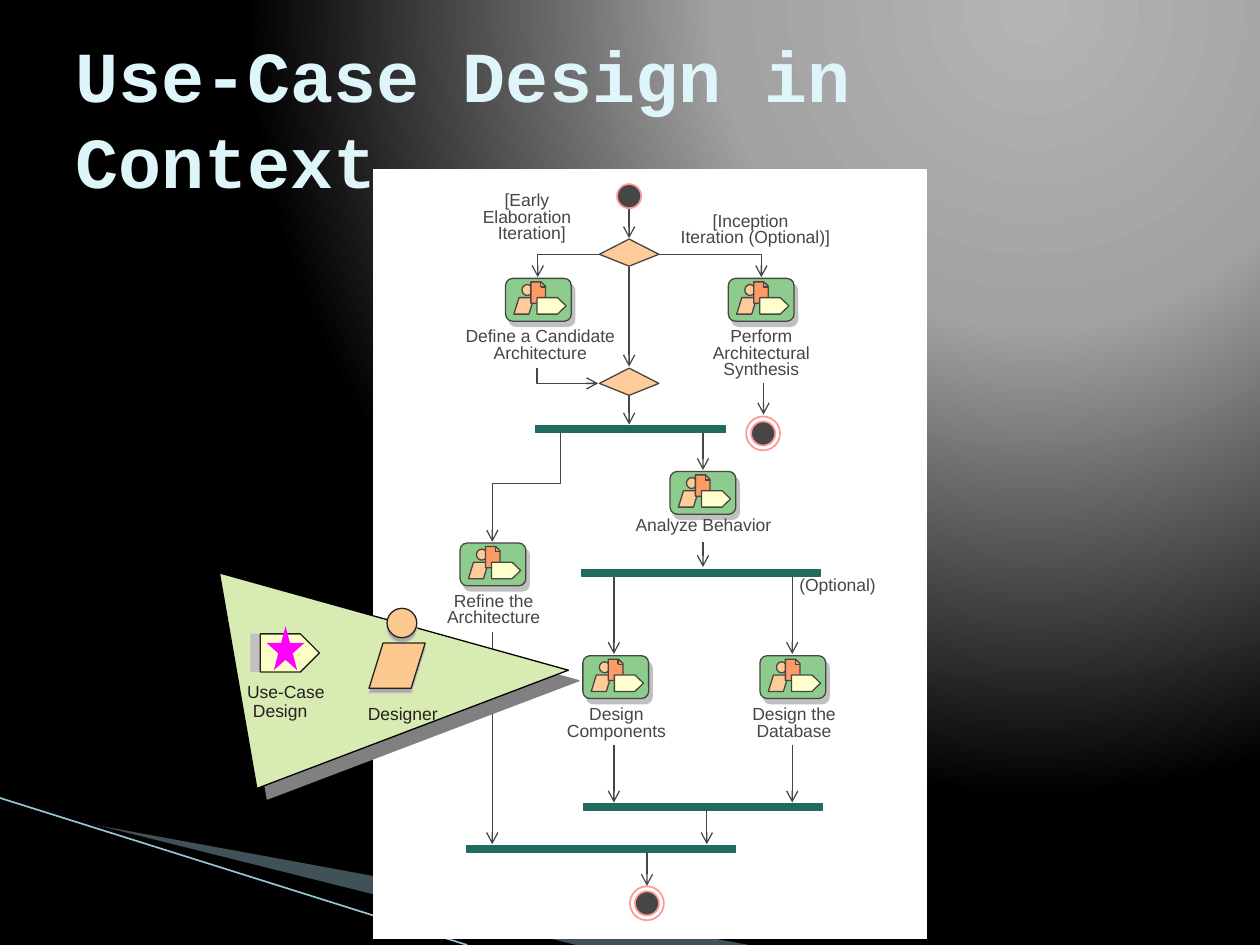
import pptx
import pptx.dml.color
import pptx.enum.shapes
import pptx.enum.text
import pptx.oxml
import pptx.oxml.ns
import pptx.util
from lxml import etree

Pt = pptx.util.Pt
SHAPE = pptx.enum.shapes.MSO_SHAPE
ALIGN = pptx.enum.text.PP_ALIGN
ANCHOR = pptx.enum.text.MSO_ANCHOR
INK, PEACH, TEAL, ROSE, NIGHT = "464646", "FFCC99", "1F6B60", "FF9999", "25221E"
THIN = (INK, 0.75)


def color(value):
    return pptx.dml.color.RGBColor.from_string(value)


def assign(target, formats):
    for name, value in formats.items():
        setattr(target, name, value)


def add_xml(parent, tag, **values):
    element = etree.SubElement(parent, pptx.oxml.ns.qn(tag))
    for name, value in values.items():
        element.set(name, str(value))
    return element


def style(shape, fill=None, line=None, shadow=None):
    shape.shadow.inherit = False
    if fill:
        shape.fill.solid()
        shape.fill.fore_color.rgb = color(fill)
    else:
        shape.fill.background()
    if line:
        shape.line.color.rgb = color(line[0])
        shape.line.width = Pt(line[1])
    else:
        shape.line.fill.background()
    if shadow:
        tint, distance, angle = shadow
        effects = shape._element.spPr.find(pptx.oxml.ns.qn("a:effectLst"))
        outer = add_xml(effects, "a:outerShdw", blurRad=0, dist=Pt(distance),
                        dir=angle * 60000, algn="ctr", rotWithShape=0)
        add_xml(outer, "a:srgbClr", val=tint)
    return shape


def add_preset(page, box, kind, left, top, width, height, adjust=None, **look):
    shape = page.shapes.add_shape(kind, Pt(box[0] + left), Pt(box[1] + top), Pt(width), Pt(height))
    if adjust is not None:
        shape.adjustments[0] = adjust
    return style(shape, **look)


def add_outline(page, box, points, close=True, **look):
    places = [(Pt(box[0] + x), Pt(box[1] + y)) for x, y in points]
    builder = page.shapes.build_freeform(*places[0])
    builder.add_line_segments(places[1:], close=close)
    return style(builder.convert_to_shape(), **look)


def add_line(page, box, start, end, line=THIN):
    ends = [Pt(box[i] + point[i]) for point in (start, end) for i in (0, 1)]
    connector = page.shapes.add_connector(pptx.enum.shapes.MSO_CONNECTOR.STRAIGHT, *ends)
    connector.line.color.rgb = color(line[0])
    connector.line.width = Pt(line[1])
    add_xml(connector._element.spPr, "a:effectLst")
    return connector


def add_arrow(page, box, *points):
    if len(points) == 2:
        arrow = add_line(page, box, *points)
    else:
        arrow = add_outline(page, box, points, close=False, line=THIN)
    add_xml(arrow.line._get_or_add_ln(), "a:tailEnd", type="arrow", w="med", len="med")


def add_label(page, box, left, top, width, height, lines, tint, inset=(0, 0), shift=0, **layout):
    label = page.shapes.add_textbox(Pt(box[0] + left), Pt(box[1] + top), Pt(width), Pt(height))
    frame = label.text_frame
    across, down = (Pt(value) for value in inset)
    assign(frame, dict(word_wrap=True, margin_left=across, margin_right=across,
                       margin_top=down, margin_bottom=down))
    for index, words in enumerate(lines):
        para = frame.paragraphs[0] if index == 0 else frame.add_paragraph()
        assign(para, layout)
        span = para.add_run()
        span.text = words
        assign(span.font, dict(name="Arial", size=Pt(10)))
        span.font.color.rgb = color(tint)
    if shift:
        para._p.get_or_add_pPr().set("marL", str(Pt(shift)))


def draw_background(page):
    fill = page.background.fill
    fill.gradient()
    gradient = page.background._cSld.bg.bgPr.find(pptx.oxml.ns.qn("a:gradFill"))
    for child in list(gradient):
        gradient.remove(child)
    stops = add_xml(gradient, "a:gsLst")
    for place, tint in ((0, "B4B4B4"), (40, "A2A2A2"), (100, "000000")):
        add_xml(add_xml(stops, "a:gs", pos=place * 1000), "a:srgbClr", val=tint)
    radial = add_xml(gradient, "a:path", path="circle")
    add_xml(radial, "a:fillToRect", l=65000, t=0, r=0, b=98000)


def draw_swoosh(page, box):
    wedge = add_outline(page, box, [(39.6, 12.7), (428, 84), (328, 84), (39.6, 12)], fill="A0CBDC")
    tint = wedge._element.spPr.find(".//" + pptx.oxml.ns.qn("a:srgbClr"))
    add_xml(tint, "a:alpha", val=40000)
    add_outline(page, box, [(38.2, 11.3), (329, 84), (268, 84), (38.9, 12)], fill="000000")
    add_line(page, box, (0, 0), (267, 84), ("97C5D8", 0.95))


def draw_title(page, left, top, width, height):
    title = page.shapes.title
    assign(title, dict(left=Pt(left), top=Pt(top), width=Pt(width), height=Pt(height)))
    frame = title.text_frame
    frame.text = "Use-Case Design in Context"
    assign(frame, dict(word_wrap=True, vertical_anchor=ANCHOR.MIDDLE,
                       auto_size=pptx.enum.text.MSO_AUTO_SIZE.NONE))
    para = frame.paragraphs[0]
    para.alignment = ALIGN.LEFT
    font = para.runs[0].font
    assign(font, dict(name="Courier New", size=Pt(41), bold=True))
    font.color.rgb = color("DEF5FA")


def draw_activity(page, box):
    add_preset(page, box, SHAPE.ROUNDED_RECTANGLE, 0, 0, 37.6, 24.5, 0.167,
               fill="8ECC8E", line=THIN, shadow=("C0C0C0", 3.6, 56))
    add_preset(page, box, SHAPE.PARALLELOGRAM, 4.8, 11, 11.5, 9.4, 0.31, fill=PEACH, line=THIN)
    add_preset(page, box, SHAPE.OVAL, 9.4, 3.5, 6, 6.3, fill=PEACH, line=THIN)
    add_outline(page, box, [(14.5, 2), (14.5, 14.2), (22.9, 14.2), (22.9, 4.5), (20.4, 2)],
                fill="FF9966", line=THIN)
    add_line(page, box, (20.1, 2), (20.1, 4.9))
    add_line(page, box, (22.9, 4.9), (20.1, 4.9))
    add_preset(page, box, SHAPE.PENTAGON, 18, 11, 16.6, 9.4, 0.516, fill="FFFFCC", line=THIN)


def draw_node(page, box, ring):
    add_preset(page, box, SHAPE.OVAL, -6.9, -6.9, 13.8, 13.8, fill=INK, line=(ROSE, 1))
    if ring:
        add_preset(page, box, SHAPE.OVAL, -9.7, -9.7, 19.4, 19.4, line=(ROSE, 1))


def draw_flow(page, box):
    def inside(x, y):
        return box[0] + x, box[1] + y

    add_preset(page, box, SHAPE.RECTANGLE, 0, 0, 316, 439.2, fill="FFFFFF", line=("FFFFFF", 0.75))
    for x, y, ring in ((146.2, 14.9, False), (222.8, 150.5, True), (156.4, 419, True)):
        draw_node(page, inside(x, y), ring)
    for x, y in ((75.6, 61.9), (202.9, 61.9), (169.6, 172.2), (49.6, 213.1), (119.8, 277.5), (221, 277.5)):
        draw_activity(page, inside(x, y))
    labels = (
        (43.9, 13.7, 87.8, 5.5, "[Early", "Elaboration", "Iteration]"),
        (159.1, 25.2, 113, 5.5, "[Inception", "Iteration (Optional)]"),
        (38.9, 91.4, 113, 0, "Define a Candidate", "Architecture"),
        (177.8, 91.4, 87.8, 0, "Perform", "Architectural", "Synthesis"),
        (141.1, 201.6, 95, 0, "Analyze Behavior"),
        (33.1, 242.6, 71.3, 0, "Refine the", "Architecture"),
        (101.5, 307.4, 74.9, 0, "Design", "Components"),
        (203, 307.4, 74.9, 0, "Design the", "Database"),
        (234.7, 235.4, 61.2, 0, "(Optional)"),
    )
    for left, top, width, shift, *lines in labels:
        add_label(page, box, left, top - 0.3, width, 3 + 10 * len(lines), lines, INK, (8.64, 4.32), shift,
                  alignment=ALIGN.CENTER, line_spacing=0.35, space_before=Pt(5.2))
    for x, top, bottom in (
            (146.2, 22.3, 38.9), (223, 121.7, 139.7), (146.2, 55.4, 112.3), (146.2, 128.9, 145.4),
            (188.4, 149, 171.4), (188.4, 212.4, 226.8), (239.4, 230.4, 276.5), (137.5, 230.4, 276.5),
            (239.4, 328.3, 361.4), (137.5, 328.3, 361.4), (190.6, 365.8, 385.2), (68, 264.2, 385.2),
            (156.4, 388.8, 409)):
        add_arrow(page, box, (x, top), (x, bottom))
    add_arrow(page, box, (129.6, 48.2), (94, 48.2), (94, 61.2))
    add_arrow(page, box, (163.4, 48.2), (221.8, 48.2), (221.8, 61.2))
    add_arrow(page, box, (93.6, 113), (93.6, 121.9), (128.5, 121.9))
    add_arrow(page, box, (107.1, 149), (107.1, 179.2), (68, 179.2), (68, 212.4))
    for y in (39.4, 113.2):
        add_outline(page, box, [(129.2, y + 8.7), (146.2, y), (163.2, y + 8.7), (146.2, y + 15.5)],
                    fill=PEACH, line=THIN)
    for left, top, width in ((119.2, 228.2, 136.4), (92.8, 146.2, 108.4), (120.3, 362, 136.4), (53.4, 386, 153.6)):
        add_preset(page, box, SHAPE.RECTANGLE, left, top, width, 3.8, fill=TEAL, line=(TEAL, 0.75))


def draw_callout(page, box):
    add_outline(page, box, [(0, 0), (199.4, 55.6), (21.4, 123.2)], fill="D8EBB3",
                line=("000000", 0.75), shadow=("808080", 8.5, 45))
    for left, top, words in ((15.8, 61.9, "Use-Case"), (19.2, 72.7, "Design"), (84.8, 74.4, "Designer")):
        add_label(page, box, left, top, 50, 12.2, [words], NIGHT)
    hairline = (NIGHT, 0)
    add_preset(page, box, SHAPE.PENTAGON, 18, 35, 33.8, 21.2, 0.5, fill="C2C1C1", line=("C2C1C1", 0))
    add_preset(page, box, SHAPE.PENTAGON, 23.4, 34.8, 33.8, 21.8, 0.5, fill="FDFFC7", line=hairline)
    for drop, fill, line in ((2.6, "A9A8A7", ("C2C1C1", 0)), (0, "FBC88D", hairline)):
        add_preset(page, box, SHAPE.OVAL, 95.8, 20.2 + drop, 17, 16.8, fill=fill, line=line)
        add_preset(page, box, SHAPE.PARALLELOGRAM, 85.5, 40.1 + drop, 32.1, 25.8, 0.31, fill=fill, line=line)
    add_preset(page, box, SHAPE.STAR_5_POINT, 27, 30.4, 21.6, 25.2, fill="FF00FF")


def main():
    deck = pptx.Presentation()
    assign(deck, dict(slide_width=Pt(720), slide_height=Pt(540)))
    page = deck.slides.add_slide(deck.slide_layouts[5])
    draw_background(page)
    draw_title(page, 36, 21.6, 648, 90)
    draw_swoosh(page, (0, 456))
    draw_flow(page, (213.3, 97.2))
    draw_callout(page, (125.4, 327.4))
    deck.save("out.pptx")


main()
